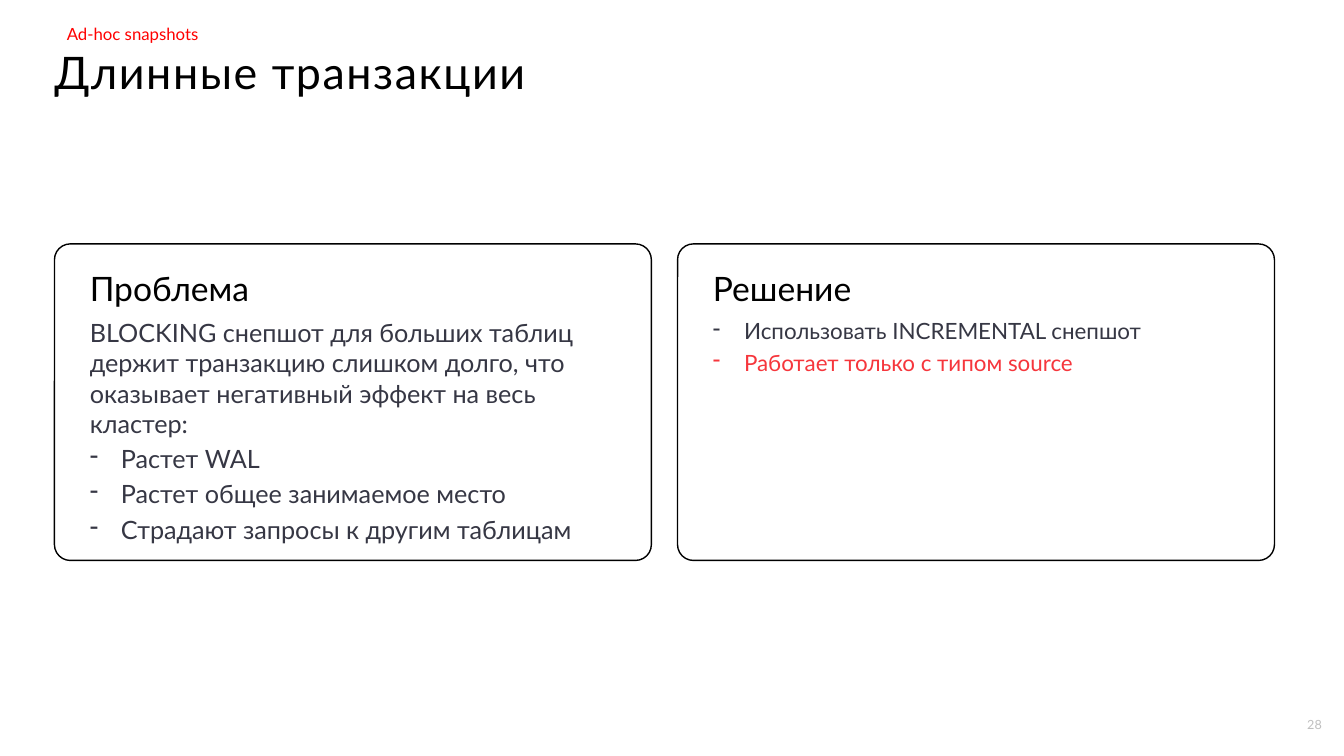
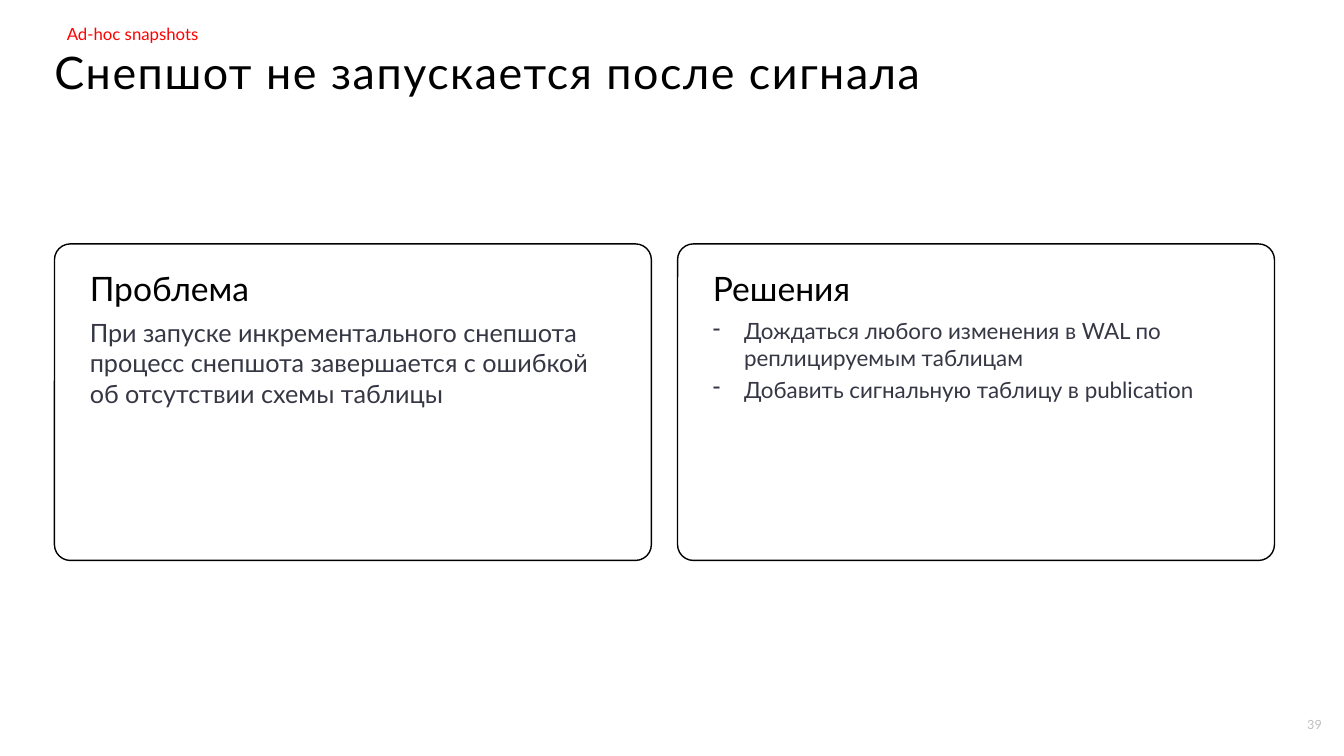
from lxml.etree import SubElement
from pptx import Presentation
from pptx.dml.color import RGBColor
from pptx.enum.shapes import MSO_SHAPE
from pptx.enum.text import MSO_ANCHOR, PP_ALIGN
from pptx.oxml.ns import qn
from pptx.util import Pt

PX = 9144
FONT = "Lato"
BLACK, WHITE, INK = "000000", "FFFFFF", "363744"
RED, ALERT, GREY = "FF0000", "F6363C", "BFBFBF"
MARGIN, CARD_TOP, CARD_W, CARD_H, GAP = 54, 242, 592, 314, 26
INDENT = 31


def px(n):
    return int(n * PX)


def rgb(value):
    return RGBColor.from_string(value)


def add_text(tf, text, size, color=INK, bullet=False, align=PP_ALIGN.LEFT,
             line_spacing=None, tracking=None):
    first = not tf.paragraphs[0].runs
    p = tf.paragraphs[0] if first else tf.add_paragraph()
    p.alignment = align
    if line_spacing:
        p.line_spacing = line_spacing
    if not first:
        p.space_before = Pt(size * 0.2)
    if bullet:
        pPr = p._p.get_or_add_pPr()
        pPr.set("marL", str(px(INDENT)))
        pPr.set("indent", str(-px(INDENT)))
        SubElement(pPr, qn("a:buChar")).set("char", "-")
    r = p.add_run()
    r.text = text
    r.font.name = FONT
    r.font.size = Pt(size)
    r.font.color.rgb = rgb(color)
    if tracking:
        r._r.get_or_add_rPr().set("spc", str(tracking))


def add_box(s, x, y, w, h, anchor=MSO_ANCHOR.TOP):
    tf = s.shapes.add_textbox(px(x), px(y), px(w), px(h)).text_frame
    tf.word_wrap = True
    tf.vertical_anchor = anchor
    tf.margin_left = tf.margin_right = tf.margin_top = tf.margin_bottom = 0
    return tf


def add_round_rect(s, x, y, w, h, radius, fill=None, line=None):
    sp = s.shapes.add_shape(MSO_SHAPE.ROUNDED_RECTANGLE,
                            px(x), px(y), px(w), px(h))
    sp.shadow.inherit = False
    sp.adjustments[0] = radius
    if fill:
        sp.fill.solid()
        sp.fill.fore_color.rgb = rgb(fill)
    else:
        sp.fill.background()
    if line:
        sp.line.color.rgb = rgb(line)
        sp.line.width = Pt(1)
    else:
        sp.line.fill.background()
    return sp


def add_header(s, x, y, w, tag, title):
    sp = add_round_rect(s, x + 2, y, w, 32, 0.05)
    tf = sp.text_frame
    tf.vertical_anchor = MSO_ANCHOR.MIDDLE
    add_text(tf, tag, 12, RED)
    add_text(add_box(s, x, y + 32, w, 39), title, 32, BLACK,
             line_spacing=0.9, tracking=110)


def add_card(s, x, y, heading, items, size, body_w):
    add_round_rect(s, x, y, CARD_W, CARD_H, 0.05, WHITE, BLACK)
    tf = add_box(s, x + 35, y + 31, 408, 33, MSO_ANCHOR.BOTTOM)
    add_text(tf, heading, 24, BLACK)
    body = add_box(s, x + 35, y + 73, body_w, 97)
    for text, fmt in items:
        add_text(body, text, size, **fmt)


def add_page_number(s, x, y, number):
    add_text(add_box(s, x, y, 56, 20), str(number), 9, GREY,
             align=PP_ALIGN.RIGHT)


def add_problem_slide(prs, title, problem, heading, solutions, number):
    s = prs.slides.add_slide(prs.slide_layouts[6])
    add_header(s, MARGIN, 18, 1177, "Ad-hoc snapshots", title)
    add_card(s, MARGIN, CARD_TOP, "Проблема", problem, 18, 519)
    add_card(s, MARGIN + CARD_W + GAP, CARD_TOP, heading, solutions, 16, 549)
    add_page_number(s, 1255, 711, number)


PLAIN = {}
DASH = {"bullet": True}
WARNING = {"bullet": True, "color": ALERT}

SLIDES = [
    ("Длинные транзакции",
     [("BLOCKING снепшот для больших таблиц держит транзакцию слишком долго, "
       "что оказывает негативный эффект на весь кластер:", PLAIN),
      ("Растет WAL", DASH),
      ("Растет общее занимаемое место", DASH),
      ("Страдают запросы к другим таблицам", DASH)],
     "Решение",
     [("Использовать INCREMENTAL снепшот", DASH),
      ("Работает только с типом source", WARNING)],
     28),
    ("Снепшот не запускается после сигнала",
     [("При запуске инкрементального снепшота процесс снепшота завершается "
       "с ошибкой об отсутствии схемы таблицы", PLAIN)],
     "Решения",
     [("Дождаться любого изменения в WAL по реплицируемым таблицам", DASH),
      ("Добавить сигнальную таблицу в publication", DASH)],
     39),
]


def main():
    prs = Presentation()
    prs.slide_width, prs.slide_height = px(1333), px(750)
    for content in SLIDES:
        add_problem_slide(prs, *content)
    prs.save("out.pptx")


if __name__ == "__main__":
    main()
